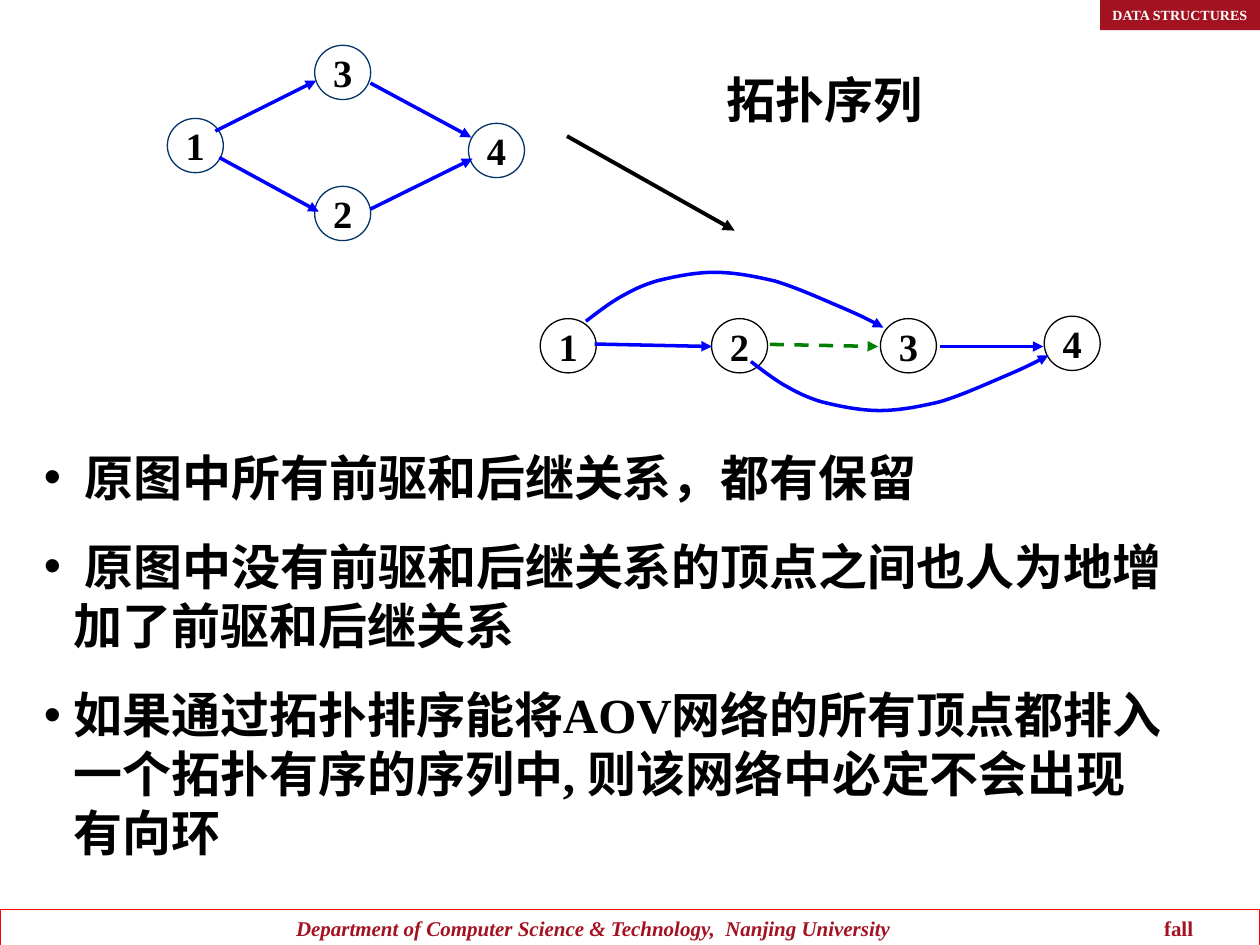
from pptx import Presentation
from pptx.dml.color import RGBColor
from pptx.enum.dml import MSO_LINE
from pptx.enum.shapes import MSO_CONNECTOR, MSO_SHAPE
from pptx.enum.text import MSO_ANCHOR, PP_ALIGN
from pptx.oxml.ns import qn
from pptx.util import Pt
from lxml import etree

RECT, OVAL = MSO_SHAPE.RECTANGLE, MSO_SHAPE.OVAL
LINE, DASH = MSO_CONNECTOR.STRAIGHT, MSO_LINE.DASH
TOP, MIDDLE = MSO_ANCHOR.TOP, MSO_ANCHOR.MIDDLE
LEFT, CENTER = PP_ALIGN.LEFT, PP_ALIGN.CENTER
BLACK = RGBColor(0, 0, 0)
WHITE = RGBColor(255, 255, 255)
RED = RGBColor(255, 0, 0)
WINE = RGBColor(0xA3, 0x12, 0x21)
NAVY = RGBColor(0, 0x33, 0x66)
BLUE = RGBColor(0, 0, 255)
GREEN = RGBColor(0, 0x80, 0)
SERIF, SANS = "Times New Roman", "Arial"

TITLE = "拓扑序列"
POINTS = [
    " 原图中所有前驱和后继关系，都有保留",
    " 原图中没有前驱和后继关系的顶点之间也人为地增加了前驱和后继关系",
    "如果通过拓扑排序能将AOV网络的所有顶点都排入一个拓扑有序的序列中, 则该网络中必定不会出现有向环",
]
DEPT = "Department of Computer Science & Technology,  Nanjing University"
TERM = "fall"
COURSE = "DATA STRUCTURES"

# label, centre x, centre y
GRAPH = [("1", 111.6, 83.2), ("2", 195.8, 122), ("3", 195.8, 41.4), ("4", 283.7, 86)]
ORDER = [("1", 324.7, 197.6), ("2", 422.6, 197.6), ("3", 519.1, 197.6), ("4", 612.7, 196.2)]
NODE_W, NODE_H = 32, 31

# x1, y1, x2, y2, colour, width, dash
ARROWS = [
    (123.1, 74.9, 180.7, 46.1, BLUE, 2, None),
    (125.3, 90, 182.2, 121, BLUE, 2, None),
    (211.7, 119.5, 270, 90.7, BLUE, 2, None),
    (211.7, 47.5, 269.3, 78.5, BLUE, 2, None),
    (339.8, 196.6, 406.8, 198, BLUE, 2, None),
    (439.9, 196.8, 501.8, 198, GREEN, 2, DASH),
    (537.1, 198, 596.2, 198, BLUE, 2, None),
    (324, 77.8, 419.8, 131.8, BLACK, 2.25, None),
]

# Bezier points of one arc, as offsets from its start
ARC = [
    (6.5, 5), (13, 10), (19.4, 13.7), (25.9, 17.3), (31, 20.2), (40.3, 23),
    (49, 25.2), (61.9, 28), (73.4, 28), (84.2, 28), (95.8, 25.9), (108, 23),
    (120.2, 19.4), (136, 12.2), (146.2, 7.9), (156.2, 3.6), (166.3, -1.4), (170, -3.6),
]
# start x, start y, direction of the bulge
ARCS = [(334.8, 183.6, -1), (429.1, 206.6, 1)]


def style(para, size, color, face=SERIF, italic=None):
    font = para.font
    font.size, font.name, font.bold, font.italic = Pt(size), face, True, italic
    font.color.rgb = color


def add_form(kind, x, y, w, h, edge=None, fill=None):
    form = slide.shapes.add_shape(kind, Pt(x), Pt(y), Pt(w), Pt(h))
    form.shadow.inherit = False
    if fill is None:
        form.fill.background()
    else:
        form.fill.solid()
        form.fill.fore_color.rgb = fill
    if edge is None:
        form.line.fill.background()
    else:
        form.line.color.rgb = edge
        form.line.width = Pt(0.75)
    frame = form.text_frame
    frame.margin_left = frame.margin_right = frame.margin_top = frame.margin_bottom = 0
    frame.vertical_anchor = MIDDLE
    frame.word_wrap = False
    return frame


def point(line, color, width):
    """Colour a line and give its end an arrowhead."""
    line.color.rgb = color
    line.width = Pt(width)
    etree.SubElement(line._get_or_add_ln(), qn("a:tailEnd"), type="triangle")


def add_node(label, x, y, edge):
    frame = add_form(OVAL, x - NODE_W / 2, y - NODE_H / 2, NODE_W, NODE_H, edge)
    para = frame.paragraphs[0]
    para.text, para.alignment = label, CENTER
    style(para, 22, BLACK)


def add_arrow(x1, y1, x2, y2, color, width, dash):
    arrow = slide.shapes.add_connector(LINE, Pt(x1), Pt(y1), Pt(x2), Pt(y2))
    if dash:
        arrow.line.dash_style = dash
    point(arrow.line, color, width)
    etree.SubElement(arrow._element.spPr, qn("a:effectLst"))


def add_arc(x, y, way):
    pen = slide.shapes.build_freeform(Pt(x), Pt(y))
    pen.add_line_segments([(Pt(x + dx), Pt(y + way * dy)) for dx, dy in ARC], close=False)
    arc = pen.convert_to_shape()
    arc.shadow.inherit = False
    arc.fill.background()
    point(arc.line, BLUE, 2)
    # Every three straight segments become one cubic curve
    steps = list(arc._element.iter(qn("a:lnTo")))
    for i in range(0, len(steps), 3):
        curve = etree.Element(qn("a:cubicBezTo"))
        steps[i].addprevious(curve)
        for step in steps[i:i + 3]:
            curve.append(step[0])
            step.getparent().remove(step)


def add_title():
    title = slide.shapes.title
    title.left, title.top, title.width, title.height = Pt(408.2), Pt(36), Pt(162), Pt(41)
    frame = title.text_frame
    frame.vertical_anchor = TOP
    para = frame.paragraphs[0]
    para.text, para.alignment = TITLE, LEFT
    style(para, 28, BLACK, SANS)


def add_points():
    frame = slide.shapes.add_textbox(Pt(18), Pt(252), Pt(653.8), Pt(244)).text_frame
    frame.word_wrap = True
    for i, text in enumerate(POINTS):
        para = frame.add_paragraph() if i else frame.paragraphs[0]
        para.text = text
        if i:
            para.space_before = Pt(17.5)
        props = para._p.get_or_add_pPr()
        props.set("marL", str(Pt(17)))
        props.set("indent", str(-Pt(17)))
        etree.SubElement(props, qn("a:buFont"), typeface=SANS)
        etree.SubElement(props, qn("a:buChar"), char="•")
        style(para, 28, BLACK)


def add_frame():
    """Add the footer bar and the course tag."""
    foot = add_form(RECT, 0, 519.8, 720, 21.6, RED)
    foot.margin_left = Pt(169.2)
    para = foot.paragraphs[0]
    para.alignment = LEFT
    tabs = etree.SubElement(para._p.get_or_add_pPr(), qn("a:tabLst"))
    etree.SubElement(tabs, qn("a:tab"), pos=str(Pt(496)), algn="l")
    style(para, 12, WINE)
    for text, italic in ((DEPT, True), ("\t" + TERM, False)):
        run = para.add_run()
        run.text, run.font.italic = text, italic

    tag = add_form(RECT, 628.6, 0, 91.4, 17.3, fill=WINE)
    tag.margin_left = Pt(7.2)
    para = tag.paragraphs[0]
    para.text, para.alignment = COURSE, LEFT
    style(para, 8, WHITE)


deck = Presentation()
deck.slide_width, deck.slide_height = Pt(720), Pt(540)
slide = deck.slides.add_slide(deck.slide_layouts[5])
add_frame()
add_title()
for nodes, edge in ((GRAPH, NAVY), (ORDER, BLACK)):
    for node in nodes:
        add_node(*node, edge)
for arrow in ARROWS:
    add_arrow(*arrow)
for arc in ARCS:
    add_arc(*arc)
add_points()
deck.save("out.pptx")
